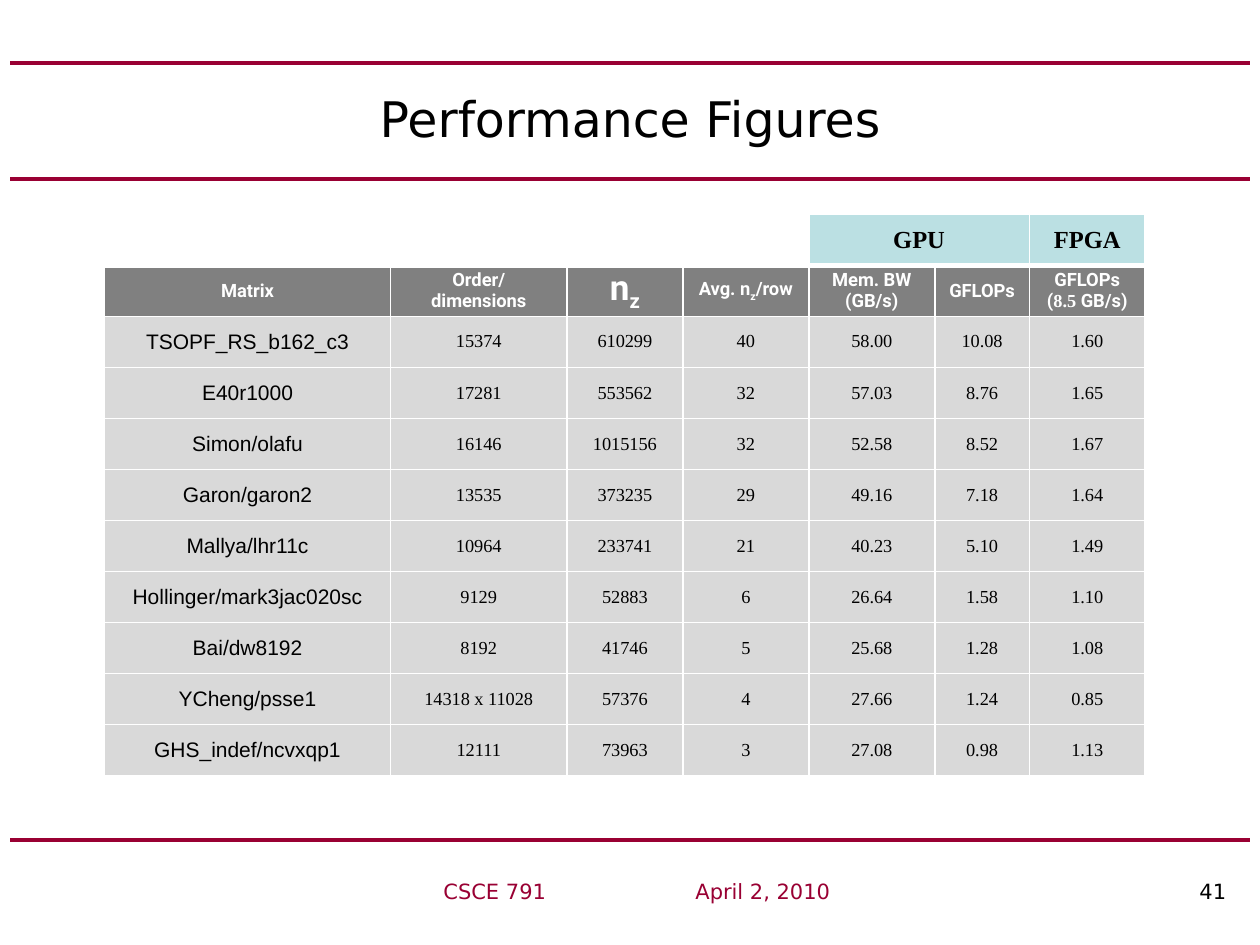
from typing import NamedTuple

from lxml.etree import SubElement
from pptx import Presentation
from pptx.dml.color import RGBColor
from pptx.enum.shapes import MSO_CONNECTOR
from pptx.enum.text import MSO_ANCHOR, PP_ALIGN
from pptx.oxml.ns import qn
from pptx.util import Inches, Pt

BLACK = RGBColor(0x00, 0x00, 0x00)
WHITE = RGBColor(0xFF, 0xFF, 0xFF)
GARNET = RGBColor(0x99, 0x00, 0x33)
AQUA = RGBColor(0xBB, 0xE0, 0xE3)
DARK_GRAY = RGBColor(0x80, 0x80, 0x80)
LIGHT_GRAY = RGBColor(0xD9, 0xD9, 0xD9)

SANS, SERIF = "DejaVu Sans", "Times New Roman"


class Style(NamedTuple):
    font: str
    size: float
    color: RGBColor = BLACK
    bold: bool = False
    subscript: bool = False


TITLE = Style(SANS, 28)
GROUP = Style(SERIF, 14, bold=True)
HEAD = Style("Roboto", 10.5, WHITE, True)
HEAD_SUB = HEAD._replace(subscript=True)
BIG = HEAD._replace(size=20)
BIG_SUB = BIG._replace(subscript=True)
NAME = Style("Arial", 12)
NUMBER = Style(SERIF, 10.5)
FOOTER = Style(SANS, 12, GARNET)


class Run(NamedTuple):
    text: str
    style: Style


# Each header cell is a list of paragraphs, each a list of runs
HEADERS = [
    [[Run("Matrix", HEAD)]],
    [[Run("Order/", HEAD)], [Run("dimensions", HEAD)]],
    [[Run("n", BIG), Run("z", BIG_SUB)]],
    [[Run("Avg. n", HEAD), Run("z", HEAD_SUB), Run("/row", HEAD)]],
    [[Run("Mem. BW (GB/s)", HEAD)]],
    [[Run("GFLOPs", HEAD)]],
    [[Run("GFLOPs (", HEAD), Run("8.5 ", HEAD._replace(font=SERIF)), Run("GB/s)", HEAD)]],
]
RESULTS = [
    ("TSOPF_RS_b162_c3", "15374", "610299", "40", "58.00", "10.08", "1.60"),
    ("E40r1000", "17281", "553562", "32", "57.03", "8.76", "1.65"),
    ("Simon/olafu", "16146", "1015156", "32", "52.58", "8.52", "1.67"),
    ("Garon/garon2", "13535", "373235", "29", "49.16", "7.18", "1.64"),
    ("Mallya/lhr11c", "10964", "233741", "21", "40.23", "5.10", "1.49"),
    ("Hollinger/mark3jac020sc", "9129", "52883", "6", "26.64", "1.58", "1.10"),
    ("Bai/dw8192", "8192", "41746", "5", "25.68", "1.28", "1.08"),
    ("YCheng/psse1", "14318 x 11028", "57376", "4", "27.66", "1.24", "0.85"),
    ("GHS_indef/ncvxqp1", "12111", "73963", "3", "27.08", "0.98", "1.13"),
]
COL_WIDTHS = [2.27, 1.4, 0.92, 1, 1, 0.75, 0.92]


def add_run(p, run: Run) -> None:
    r = p.add_run()
    r.text = run.text
    style = run.style
    r.font.name, r.font.size, r.font.bold = style.font, Pt(style.size), style.bold
    r.font.color.rgb = style.color
    if style.subscript:
        r._r.get_or_add_rPr().set("baseline", "-25000")


def add_rule(s, y: float) -> None:
    line = s.shapes.add_connector(
        MSO_CONNECTOR.STRAIGHT, Inches(0.08), Inches(y), Inches(9.92), Inches(y))
    line.line.color.rgb = GARNET
    line.line.width = Pt(2.25)
    SubElement(line._element.spPr, qn("a:effectLst"))


def set_borders(cell, bottom: float) -> None:
    tcPr = cell._tc.get_or_add_tcPr()
    for side, width in (("L", 1), ("R", 1), ("T", 1), ("B", bottom)):
        ln = SubElement(tcPr, qn(f"a:ln{side}"), w=str(Pt(width)))
        fill = SubElement(ln, qn("a:solidFill"))
        SubElement(fill, qn("a:srgbClr"), val=str(WHITE))


def fill_cell(cell, paragraphs: list[list[Run]], fill: RGBColor, bottom: float = 1) -> None:
    set_borders(cell, bottom)
    cell.fill.solid()
    cell.fill.fore_color.rgb = fill
    cell.vertical_anchor = MSO_ANCHOR.MIDDLE
    cell.margin_left = cell.margin_right = Inches(0.07)
    cell.margin_top = cell.margin_bottom = 0
    tf = cell.text_frame
    for i, runs in enumerate(paragraphs):
        p = tf.add_paragraph() if i else tf.paragraphs[0]
        p.alignment = PP_ALIGN.CENTER
        for run in runs:
            add_run(p, run)


def add_results_table(s) -> None:
    rows = len(RESULTS) + 2
    table = s.shapes.add_table(rows, len(COL_WIDTHS), Inches(0.83), Inches(1.7),
                               Inches(sum(COL_WIDTHS)), Inches(4.46)).table
    table.first_row = table.horz_banding = False
    for column, width in zip(table.columns, COL_WIDTHS):
        column.width = Inches(width)

    # Device groups above the column headers
    groups = {4: "GPU", 6: "FPGA"}
    for col in range(len(COL_WIDTHS)):
        paragraphs = [[Run(groups[col], GROUP)]] if col in groups else []
        fill_cell(table.cell(0, col), paragraphs, AQUA if col >= 4 else WHITE, bottom=3)
    table.cell(0, 0).merge(table.cell(0, 3))
    table.cell(0, 4).merge(table.cell(0, 5))

    # Column headers and results
    for col, paragraphs in enumerate(HEADERS):
        fill_cell(table.cell(1, col), paragraphs, DARK_GRAY)
    for row, result in enumerate(RESULTS, start=2):
        for col, text in enumerate(result):
            style = NUMBER if col else NAME
            fill_cell(table.cell(row, col), [[Run(text, style)]], LIGHT_GRAY)


def add_footer(s) -> None:
    tf = s.shapes.add_textbox(Inches(2.83), Inches(6.92), Inches(7), Inches(0.33)).text_frame
    tf.word_wrap = True
    p = tf.paragraphs[0]
    p.alignment = PP_ALIGN.RIGHT
    tabs = SubElement(p._p.get_or_add_pPr(), qn("a:tabLst"))
    for stop in (2, 6):
        SubElement(tabs, qn("a:tab"), pos=str(Inches(stop)), algn="l")
    add_run(p, Run("CSCE 791\tApril 2, 2010\t", FOOTER))
    add_run(p, Run("41", FOOTER._replace(color=BLACK)))


def main() -> None:
    prs = Presentation()
    prs.slide_width, prs.slide_height = Inches(10), Inches(7.5)
    s = prs.slides.add_slide(prs.slide_layouts[5])

    # Horizontal rules
    for y in (6.67, 1.42, 0.5):
        add_rule(s, y)

    # Title
    title = s.shapes.title
    title.left, title.top = Inches(0.5), Inches(0.5)
    title.width, title.height = Inches(9), Inches(0.87)
    tf = title.text_frame
    tf.vertical_anchor = MSO_ANCHOR.MIDDLE
    p = tf.paragraphs[0]
    p.alignment = PP_ALIGN.CENTER
    add_run(p, Run("Performance Figures", TITLE))

    add_results_table(s)
    add_footer(s)
    prs.save("out.pptx")


if __name__ == "__main__":
    main()
